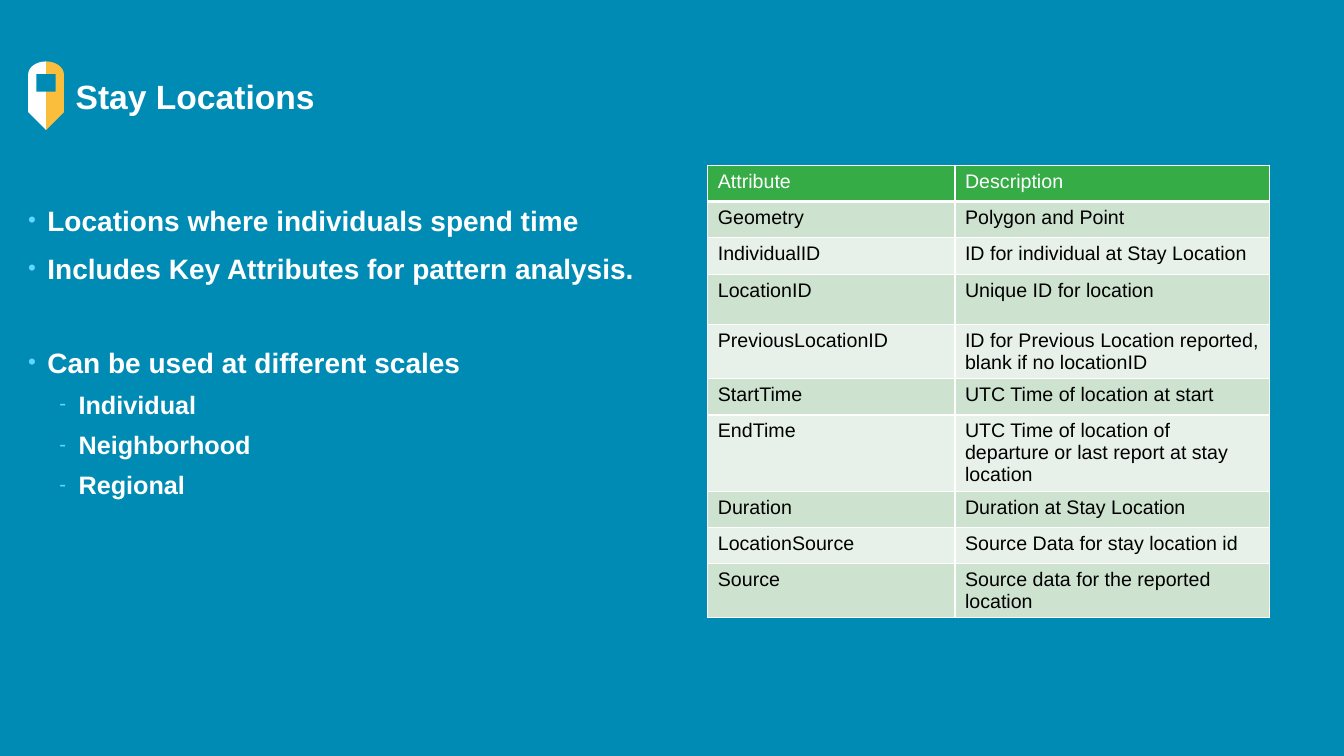
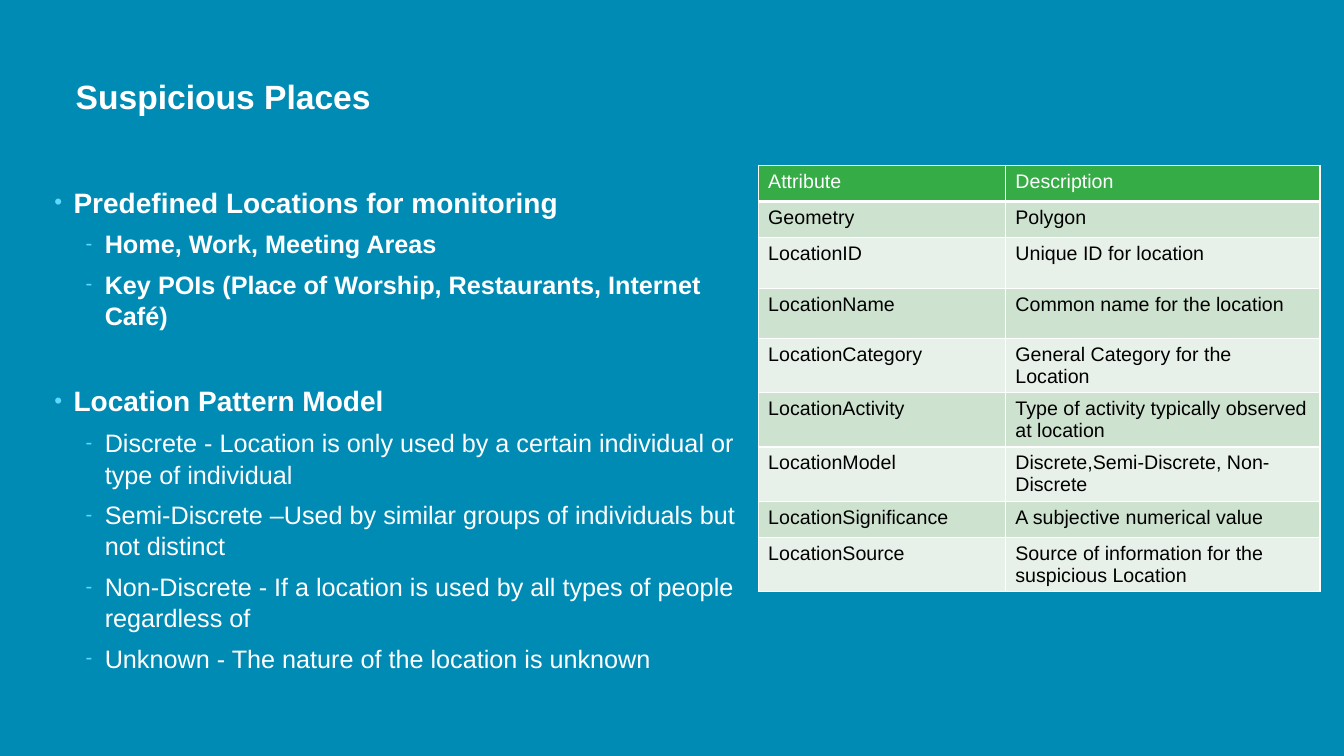
from math import cos, pi, sin

from lxml import etree
from pptx import Presentation
from pptx.dml.color import RGBColor
from pptx.enum import text
from pptx.oxml import ns
from pptx.util import Inches, Pt

HUES = {
    "back": "008BB5", "white": "FFFFFF", "black": "000000", "mark": "5ED9FF",
    "head": "35AC46", "odd": "CEE3CF", "even": "E8F1E9", "gold": "FABE3C",
}
FACE = "Arial"

deck = Presentation()
deck.slide_width, deck.slide_height = Inches(13.33), Inches(7.5)


def hue(name):
    return RGBColor.from_string(HUES[name])


def wide(share):
    """Percent of the slide's width."""
    return int(deck.slide_width * share / 100)


def high(share):
    """Percent of the slide's height."""
    return int(deck.slide_height * share / 100)


def area(left, top, width, height):
    return wide(left), high(top), wide(width), high(height)


def node(parent, tag, **attrs):
    child = etree.SubElement(parent, ns.qn(tag))
    for key, value in attrs.items():
        child.set(key, str(value))
    return child


def style(para, size, color="white", bold=False):
    font = para.font
    font.name, font.size, font.bold = FACE, Pt(size), bold
    font.color.rgb = hue(color)


def clear(frame):
    """Plain wrapping frame without insets."""
    frame.auto_size = text.MSO_AUTO_SIZE.NONE
    frame.word_wrap = True
    frame.margin_left = frame.margin_right = 0
    frame.margin_top = frame.margin_bottom = 0


# Title
def head(slide, words, box):
    title = slide.shapes.title
    title.left, title.top, title.width, title.height = box
    frame = title.text_frame
    frame.text = words
    clear(frame)
    frame.vertical_anchor = text.MSO_ANCHOR.MIDDLE
    para = frame.paragraphs[0]
    para.alignment = text.PP_ALIGN.LEFT
    style(para, 24, bold=True)


# Bulleted list: each item is level, bold, extra space above, words
def points(slide, items, box):
    frame = slide.shapes.add_textbox(*box).text_frame
    clear(frame)
    for i, (level, bold, gap, words) in enumerate(items):
        para = frame.paragraphs[0] if i == 0 else frame.add_paragraph()
        para.text, para.level = words, level
        para.line_spacing = 1.05
        para.space_before = Pt(gap + (0 if level else 3))
        para.space_after = Pt(6)
        props = para._p.get_or_add_pPr()
        props.set("marL", str(Inches(0.5 if level else 0.19)))
        props.set("indent", str(Inches(-0.19)))
        node(node(props, "a:buClr"), "a:srgbClr", val=HUES["mark"])
        node(props, "a:buSzPct", val=80000)
        node(props, "a:buFont", typeface=FACE)
        node(props, "a:buChar", char="-" if level else "•")
        style(para, 18 if level else 20, bold=bold)


def edge(cell, first):
    props = cell._tc.get_or_add_tcPr()
    for side in "LRTB":
        size = 3 if first and side == "B" else 1
        line = node(props, f"a:ln{side}", w=Pt(size))
        node(node(line, "a:solidFill"), "a:srgbClr", val=HUES["white"])


# Attribute table
def grid(slide, rows, tall, box):
    rows = [("Attribute", "Description"), *rows]
    table = slide.shapes.add_table(len(rows), 2, *box).table
    table.columns[0].width = int(box[2] * 0.44)
    table.columns[1].width = box[2] - table.columns[0].width
    for r, row in enumerate(rows):
        table.rows[r].height = high(6.67 if r in tall else 4.8)
        fill = "head" if r == 0 else "odd" if r % 2 else "even"
        for c, words in enumerate(row):
            cell = table.cell(r, c)
            cell.text = words
            edge(cell, r == 0)
            cell.fill.solid()
            cell.fill.fore_color.rgb = hue(fill)
            style(cell.text_frame.paragraphs[0], 14, "black" if r else "white")


# Map pin with a square hole, drawn as two mirrored halves
def pin(slide, box):
    left, top, width, height = box
    turns = [pi / 2 * k / 8 for k in range(9)]
    half = [(sin(a) / 2, 0.19 * (1 - cos(a))) for a in turns]
    half += [(0.5, 0.74), (0, 1), (0, 0.44), (0.27, 0.44), (0.27, 0.18), (0, 0.18)]
    for side, color in ((-1, "white"), (1, "gold")):
        spots = [(int(left + width * (0.5 + side * x)), int(top + height * y))
                 for x, y in half]
        build = slide.shapes.build_freeform(*spots[0])
        build.add_line_segments(spots[1:], close=True)
        shape = build.convert_to_shape()
        shape.shadow.inherit = False
        shape.fill.solid()
        shape.fill.fore_color.rgb = hue(color)
        shape.line.fill.background()


# Slide type: title, list on the left, table on the right
def page(title, items, spot, rows, tall, start):
    slide = deck.slides.add_slide(deck.slide_layouts[5])
    head(slide, title, area(5.63, 10, 88.82, 5.33))
    points(slide, items, area(*spot))
    grid(slide, rows, tall, area(start, 21.87, 41.8, 4.8 * (len(rows) + 1)))
    return slide


# Shared background
back = deck.slide_master.background.fill
back.solid()
back.fore_color.rgb = hue("back")

# Stay locations
stay = page(
    "Stay Locations",
    [
        (0, True, 0, "Locations where individuals spend time"),
        (0, True, 0, "Includes Key Attributes for pattern analysis."),
        (0, True, 33, "Can be used at different scales"),
        (1, True, 0, "Individual"),
        (1, True, 0, "Neighborhood"),
        (1, True, 0, "Regional"),
    ],
    (2.1, 26.67, 46.29, 50),
    [
        ("Geometry", "Polygon and Point"),
        ("IndividualID", "ID for individual at Stay Location"),
        ("LocationID", "Unique ID for location"),
        ("PreviousLocationID",
         "ID for Previous Location reported, blank if no locationID"),
        ("StartTime", "UTC Time of location at start"),
        ("EndTime",
         "UTC Time of location of departure or last report at stay location"),
        ("Duration", "Duration at Stay Location"),
        ("LocationSource", "Source Data for stay location id"),
        ("Source", "Source data for the reported location"),
    ],
    {3, 4, 6}, 52.66,
)
pin(stay, area(2.1, 8.13, 2.66, 9.07))

# Suspicious places
page(
    "Suspicious Places",
    [
        (0, True, 0, "Predefined Locations for monitoring"),
        (1, True, 0, "Home, Work, Meeting Areas"),
        (1, True, 0, "Key POIs (Place of Worship, Restaurants, Internet Café)"),
        (0, True, 27.5, "Location Pattern Model"),
        (1, False, 0, "Discrete - Location is only used by a certain individual "
                      "or type of individual"),
        (1, False, 0, "Semi-Discrete –Used by similar groups of individuals "
                      "but not distinct"),
        (1, False, 0, "Non-Discrete - If a location is used by all types of "
                      "people regardless of"),
        (1, False, 0, "Unknown - The nature of the location is unknown"),
    ],
    (4.05, 24.27, 51.16, 50),
    [
        ("Geometry", "Polygon"),
        ("LocationID", "Unique ID for location"),
        ("LocationName", "Common name for the location"),
        ("LocationCategory", "General Category for the Location"),
        ("LocationActivity", "Type of activity typically observed at location"),
        ("LocationModel", "Discrete,Semi-Discrete, Non-Discrete"),
        ("LocationSignificance", "A subjective numerical value"),
        ("LocationSource",
         "Source of information for the suspicious Location"),
    ],
    {2, 3, 5}, 56.41,
)

deck.save("out.pptx")
